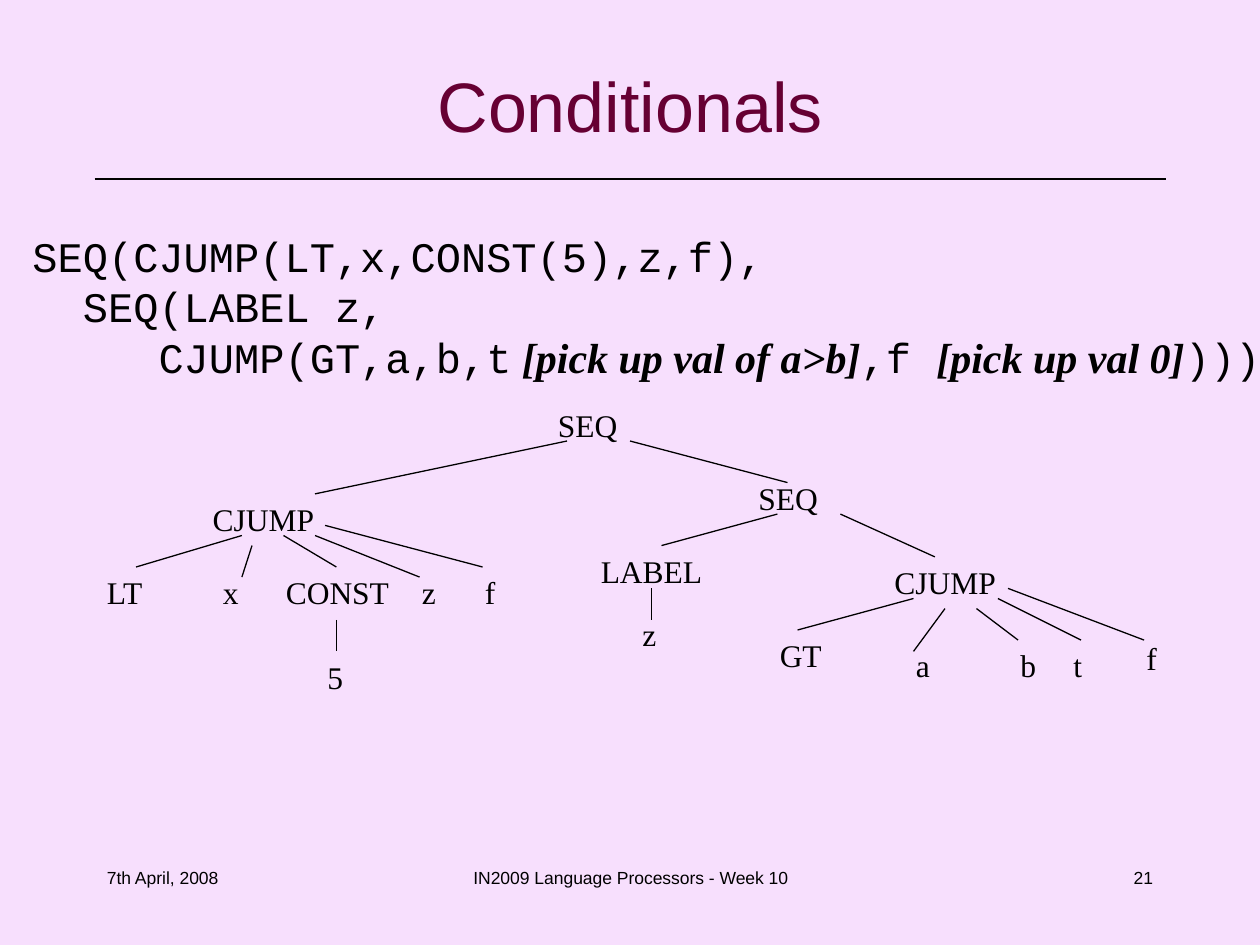
from dataclasses import dataclass
from typing import NamedTuple

from lxml.etree import SubElement
from pptx import Presentation
from pptx.dml.color import RGBColor
from pptx.enum.shapes import MSO_CONNECTOR as Connector
from pptx.enum.text import MSO_ANCHOR as Anchor, MSO_AUTO_SIZE as AutoSize, PP_ALIGN as Align
from pptx.oxml.ns import qn
from pptx.util import Inches, Pt


@dataclass(frozen=True)
class Theme:
    background: RGBColor = RGBColor(0xF7, 0xDF, 0xFD)
    heading: RGBColor = RGBColor(0x66, 0x00, 0x33)
    ink: RGBColor = RGBColor(0, 0, 0)
    sans: str = "Arial"
    serif: str = "Times New Roman"
    mono: str = "Courier New"
    title_size: int = 40
    code_size: int = 24
    node_size: int = 18
    footer_size: int = 10
    line_width: float = 0.75


THEME = Theme()


class Node(NamedTuple):
    label: str
    left: float
    top: float
    width: float


class Branch(NamedTuple):
    x1: float
    y1: float
    x2: float
    y2: float


class Footer(NamedTuple):
    text: str
    left: float
    width: float
    align: Align


NODE_HEIGHT = 0.4
NODES = [
    Node("SEQ", 4.33, 3.17, 0.69),
    # First jump: x < 5
    Node("CJUMP", 1.59, 3.92, 1.03),
    Node("LT", 0.75, 4.5, 0.52),
    Node("x", 1.67, 4.5, 0.34),
    Node("CONST", 2.17, 4.5, 1.04),
    Node("z", 3.25, 4.5, 0.33),
    Node("f", 3.75, 4.5, 0.3),
    Node("5", 2.5, 5.17, 0.34),
    # Label, then second jump: a > b
    Node("SEQ", 5.92, 3.75, 0.69),
    Node("LABEL", 4.67, 4.33, 1.03),
    Node("z", 5, 4.83, 0.33),
    Node("CJUMP", 7, 4.42, 1.03),
    Node("GT", 6.09, 5, 0.55),
    Node("a", 7.17, 5.08, 0.33),
    Node("b", 8, 5.08, 0.34),
    Node("t", 8.42, 5.08, 0.29),
    Node("f", 9, 5.02, 0.3),
]
BRANCHES = [
    # From the root
    Branch(4.5, 3.5, 2.5, 3.92),
    Branch(5, 3.5, 6.25, 3.83),
    # Under the first jump
    Branch(1.92, 4.25, 1.08, 4.5),
    Branch(2, 4.33, 1.92, 4.58),
    Branch(2.25, 4.25, 2.67, 4.5),
    Branch(2.5, 4.25, 3.33, 4.58),
    Branch(2.58, 4.17, 3.83, 4.5),
    Branch(2.67, 4.92, 2.67, 5.17),
    # Under the second SEQ
    Branch(6.17, 4.08, 5.25, 4.33),
    Branch(6.67, 4.08, 7.42, 4.42),
    Branch(5.17, 4.67, 5.17, 4.92),
    # Under the second jump
    Branch(7.25, 4.75, 6.33, 5),
    Branch(7.5, 4.83, 7.25, 5.17),
    Branch(7.75, 4.83, 8.08, 5.08),
    Branch(7.92, 4.75, 8.58, 5.08),
    Branch(8, 4.67, 9.08, 5.08),
]
# Each code line is a list of (text, is_remark) pieces
CODE = [
    [("SEQ(CJUMP(LT,x,CONST(5),z,f),", False)],
    [("  SEQ(LABEL z,", False)],
    [
        ("     CJUMP(GT,a,b,t", False),
        (" [pick up val of a>b]", True),
        (",f ", False),
        ("[pick up val 0]", True),
        (")))", False),
    ],
]
FOOTERS = [
    Footer("7th April, 2008", 0.75, 2.08, Align.LEFT),
    Footer("IN2009 Language Processors - Week 10", 3.42, 3.17, Align.CENTER),
    Footer("21", 7.17, 2.08, Align.RIGHT),
]


def style(font, name: str, size: int, color: RGBColor = THEME.ink) -> None:
    font.name, font.size = name, Pt(size)
    font.color.rgb = color


def add_box(shapes, left: float, top: float, width: float, height: float, wrap: bool = False):
    box = shapes.add_textbox(Inches(left), Inches(top), Inches(width), Inches(height))
    frame = box.text_frame
    frame.word_wrap = wrap
    frame.auto_size = AutoSize.NONE if wrap else AutoSize.SHAPE_TO_FIT_TEXT
    return frame


def add_line(shapes, branch: Branch) -> None:
    line = shapes.add_connector(Connector.STRAIGHT, *(Inches(value) for value in branch))
    line.line.color.rgb = THEME.ink
    line.line.width = Pt(THEME.line_width)
    SubElement(line._element.spPr, qn("a:effectLst"))


def add_node(shapes, node: Node) -> None:
    para = add_box(shapes, node.left, node.top, node.width, NODE_HEIGHT).paragraphs[0]
    para.text = node.label
    style(para.font, THEME.serif, THEME.node_size)


def add_code(shapes) -> None:
    frame = add_box(shapes, 0.16, 1.78, 10, 1.3)
    for index, pieces in enumerate(CODE):
        para = frame.add_paragraph() if index else frame.paragraphs[0]
        style(para.font, THEME.mono, THEME.code_size)
        for text, is_remark in pieces:
            span = para.add_run()
            span.text = text
            style(span.font, THEME.serif if is_remark else THEME.mono, THEME.code_size)
            span.font.bold = span.font.italic = is_remark


def add_footer(shapes, footer: Footer) -> None:
    para = add_box(shapes, footer.left, 6.83, footer.width, 0.5, wrap=True).paragraphs[0]
    para.text, para.alignment = footer.text, footer.align
    style(para.font, THEME.sans, THEME.footer_size)


def set_title(title, text: str) -> None:
    title.left, title.top, title.width, title.height = (Inches(v) for v in (0.5, 0.33, 9, 1))
    title.text_frame.vertical_anchor = Anchor.MIDDLE
    para = title.text_frame.paragraphs[0]
    para.text, para.alignment = text, Align.CENTER
    style(para.font, THEME.sans, THEME.title_size, THEME.heading)


def main() -> None:
    deck = Presentation()
    deck.slide_width, deck.slide_height = Inches(10), Inches(7.5)
    page = deck.slides.add_slide(deck.slide_layouts.get_by_name("Title Only"))
    page.background.fill.solid()
    page.background.fill.fore_color.rgb = THEME.background

    # Heading and rule
    set_title(page.shapes.title, "Conditionals")
    add_line(page.shapes, Branch(0.75, 1.42, 9.25, 1.42))

    add_code(page.shapes)

    # Expression tree
    tree = page.shapes.add_group_shape()
    for node in NODES:
        add_node(tree.shapes, node)
    for branch in BRANCHES:
        add_line(tree.shapes, branch)

    for footer in FOOTERS:
        add_footer(page.shapes, footer)
    deck.save("out.pptx")


if __name__ == "__main__":
    main()
